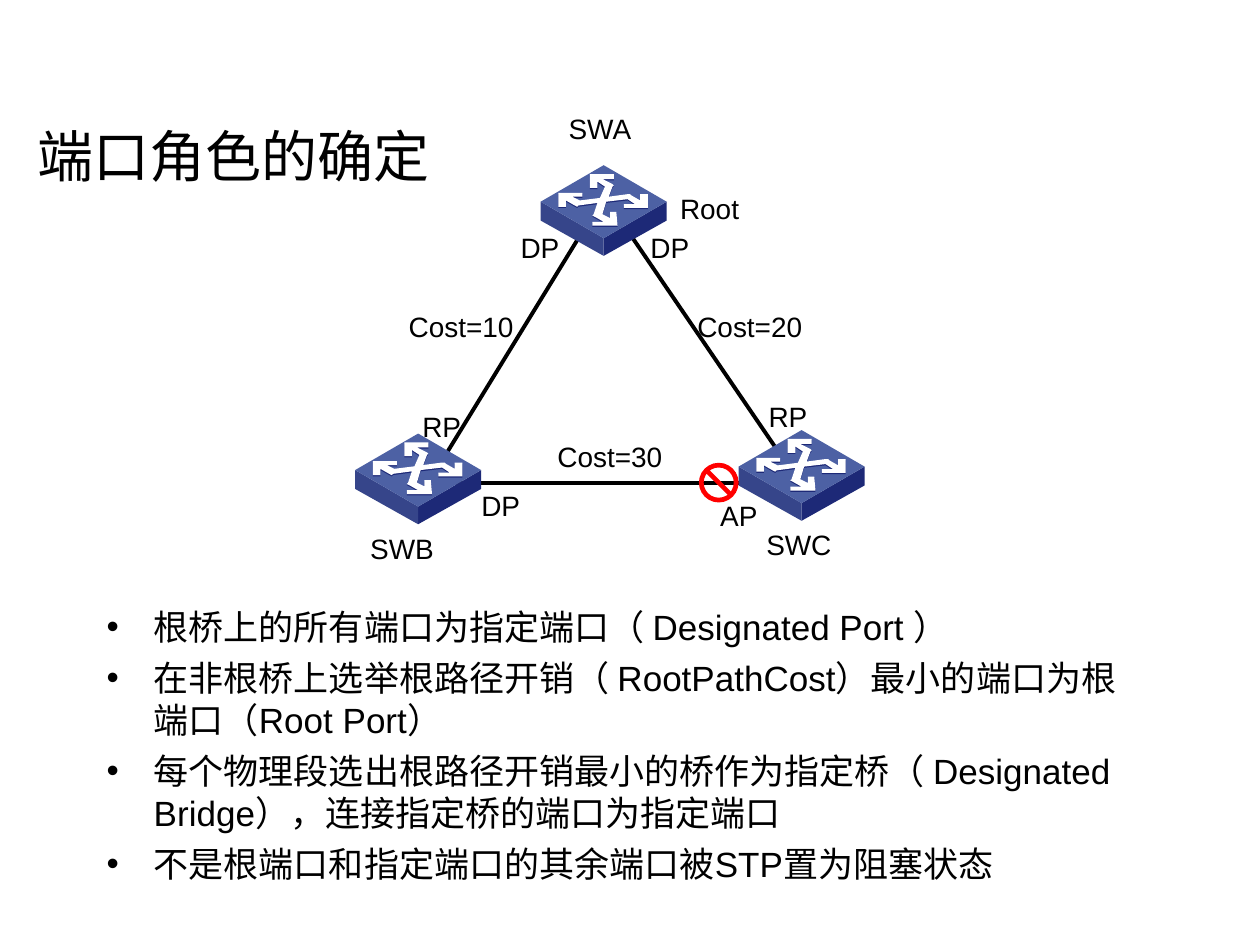
from lxml import etree
from pptx import Presentation, util as u
from pptx.dml.color import RGBColor
from pptx.enum import shapes, text
from pptx.oxml import ns


def color(value):
    return RGBColor.from_string(value)


def add_text(s, content, x, y, w, h, size=16, align=text.PP_ALIGN.LEFT,
             anchor=text.MSO_ANCHOR.TOP, before=0, bullet=None):
    tf = s.shapes.add_textbox(u.Cm(x), u.Cm(y), u.Cm(w), u.Cm(h)).text_frame
    tf.word_wrap = True
    tf.vertical_anchor = anchor
    for i, line in enumerate(content.split("\n")):
        p = tf.paragraphs[0] if i == 0 else tf.add_paragraph()
        p.alignment = align
        p.space_before = u.Pt(before)
        r = p.add_run()
        r.text = line
        r.font.name = "Arial"
        r.font.size = u.Pt(size)
        r.font.color.rgb = color("000000")
        if bullet:
            pPr = p._p.get_or_add_pPr()
            pPr.set("marL", str(u.Cm(0.95)))
            pPr.set("indent", str(u.Cm(-0.95)))
            etree.SubElement(pPr, ns.qn("a:buFont")).set("typeface", "Arial")
            etree.SubElement(pPr, ns.qn("a:buChar")).set("char", bullet)


prs = Presentation()
prs.slide_width, prs.slide_height = u.Cm(25.4), u.Cm(19.05)
s = prs.slides.add_slide(prs.slide_layouts[6])

add_text(s, "端口角色的确定", 0.51, 2.51, 19.41, 1.22, size=32,
         anchor=text.MSO_ANCHOR.MIDDLE)

links = [
    (8.89, 9.32, 11.71, 4.72),
    (9.09, 9.73, 15.29, 9.73),
    (12.7, 4.72, 15.7, 9.12),
]
for link in links:
    line = s.shapes.add_connector(shapes.MSO_CONNECTOR.STRAIGHT, *map(u.Cm, link))
    line.line.color.rgb = color("000000")
    line.line.width = u.Pt(2.25)
    etree.SubElement(line._element.spPr, ns.qn("a:effectLst"))

arrows = [
    (85, 23), (79, 23), (79, 28), (72, 24), (71, 23), (69, 23), (54, 25), (57, 17),
    (58, 16), (57, 15), (49, 11), (58, 11), (58, 7), (39, 7), (39, 18), (45, 18),
    (45, 13), (51, 17), (47, 26), (31, 28), (25, 25), (33, 25), (33, 22), (14, 22),
    (14, 33), (20, 33), (20, 28), (27, 32), (29, 33), (30, 32), (45, 30), (42, 39),
    (41, 40), (43, 41), (50, 45), (41, 45), (41, 48), (61, 48), (60, 37), (55, 37),
    (55, 42), (49, 39), (52, 29), (69, 27), (75, 31), (66, 31), (66, 34), (85, 34),
]
switch_parts = [
    ([(100, 29), (100, 44), (50, 72), (50, 58)], "1D2977"),
    ([(50, 58), (50, 72), (0, 44), (0, 29)], "36458A"),
    ([(100, 29), (50, 58), (0, 29), (50, 0)], "4D61A4"),
    ([(x, y + 1) for x, y in arrows], "1D2977"),
    (arrows, "FFFFFF"),
]
unit = u.Cm(2.54) / 100
for x, y in [(7.16, 8.74), (14.89, 8.67), (10.9, 3.33)]:
    switch = s.shapes.add_group_shape()
    for points, fill in switch_parts:
        outline = switch.shapes.build_freeform(*points[0], scale=unit)
        outline.add_line_segments(points[1:], close=True)
        sp = outline.convert_to_shape(u.Cm(x), u.Cm(y))
        sp.shadow.inherit = False
        sp.fill.solid()
        sp.fill.fore_color.rgb = color(fill)
        sp.line.fill.background()

blocked = s.shapes.add_shape(shapes.MSO_SHAPE.NO_SYMBOL, u.Cm(14.09), u.Cm(9.33),
                             u.Cm(0.8), u.Cm(0.8))
blocked.adjustments[0] = 0.12
blocked.shadow.inherit = False
blocked.fill.solid()
blocked.fill.fore_color.rgb = color("FF0000")
blocked.line.fill.background()

wide, narrow = 3.61, 2.01
labels = [
    ("SWA", 10.29, 2.13, wide),
    ("SWB", 6.3, 10.59, wide),
    ("SWC", 14.3, 10.52, wide),
    ("Root", 12.5, 3.73, wide),
    ("DP", 9.88, 4.52, narrow),
    ("DP", 12.5, 4.52, narrow),
    ("RP", 7.9, 8.13, narrow),
    ("DP", 9.09, 9.73, narrow),
    ("RP", 14.88, 7.92, narrow),
    ("AP", 13.89, 9.93, narrow),
    ("Cost=10", 7.49, 6.12, wide),
    ("Cost=20", 13.31, 6.12, wide),
    ("Cost=30", 10.49, 8.74, wide),
]
for label, x, y, w in labels:
    add_text(s, label, x, y, w, 0.94, align=text.PP_ALIGN.CENTER)

rules = [
    "根桥上的所有端口为指定端口（ Designated Port ）",
    "在非根桥上选举根路径开销（ RootPathCost）最小的端口为根端口（Root Port）",
    "每个物理段选出根路径开销最小的桥作为指定桥（ Designated Bridge），连接指定桥的端口为指定端口",
    "不是根端口和指定端口的其余端口被STP置为阻塞状态",
]
add_text(s, "\n".join(rules), 1.9, 12.09, 21.41, 5.87, size=20, before=5, bullet="•")

prs.save("out.pptx")
